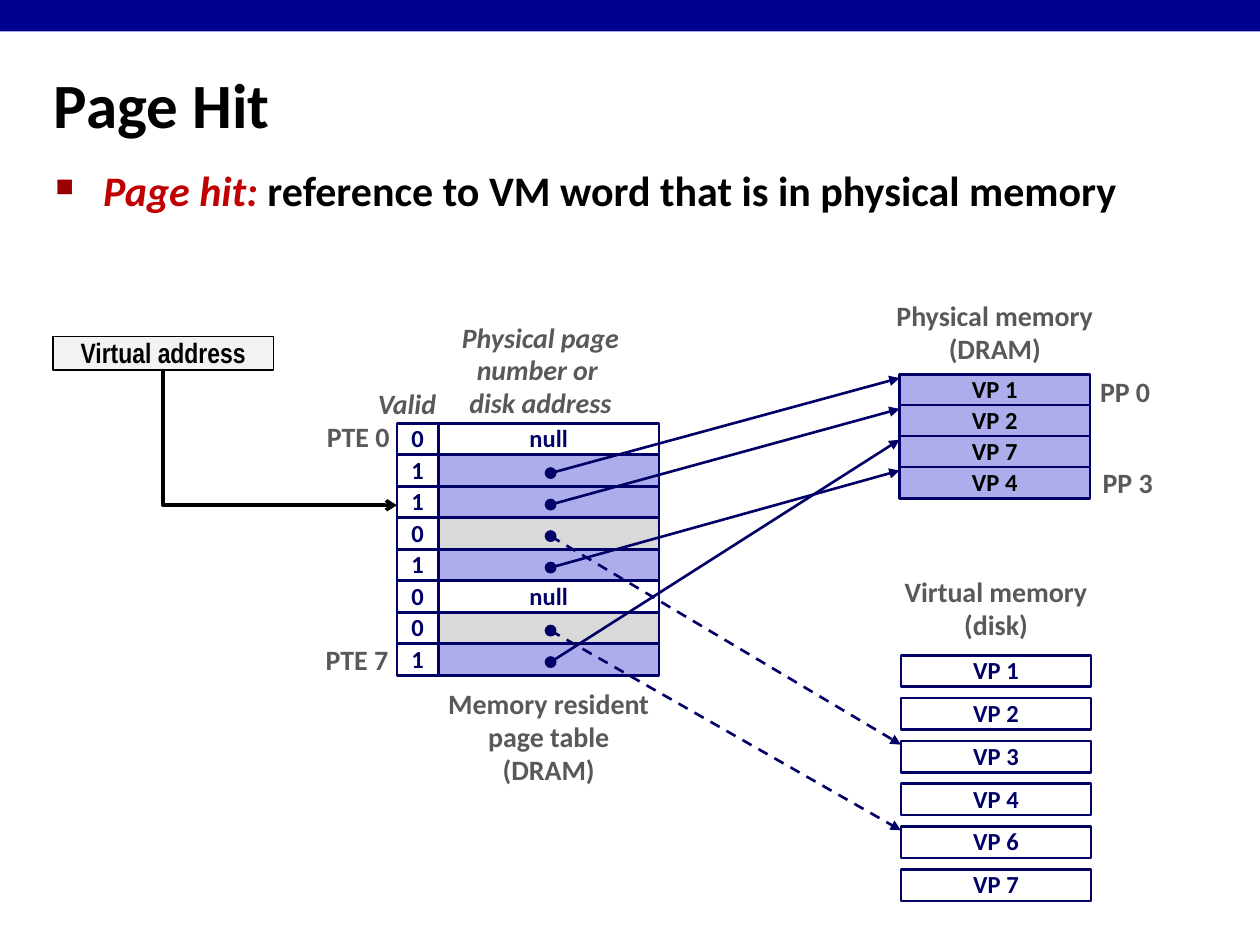
from lxml import etree
from pptx import Presentation
from pptx import util as u
from pptx.dml.color import RGBColor
from pptx.enum import dml, shapes, text
from pptx.oxml import ns

NAVY, LILAC, GREY, LABEL = "000066", "ADADEB", "D9D9D9", "595959"
BLACK, WHITE, RED = "000000", "FFFFFF", "C00000"
LEFT, CENTER, RIGHT = text.PP_ALIGN.LEFT, text.PP_ALIGN.CENTER, text.PP_ALIGN.RIGHT
ROW_H = 0.25


def rgb(value):
    """Turn a hex string into a colour."""
    return RGBColor.from_string(value)


def sub(parent, tag, **attrs):
    """Append a DrawingML element to parent."""
    return etree.SubElement(parent, ns.qn(tag), attrs)


def style_run(r, size, color, italic=False, font="Calibri"):
    """Give a run its bold font, size and colour."""
    r.font.name, r.font.size, r.font.bold = font, u.Pt(size), True
    r.font.italic = italic
    r.font.color.rgb = rgb(color)


def fill_text(tf, content, size, color, align=CENTER, italic=False, font="Calibri"):
    """Write middle-anchored lines of text into a frame."""
    tf.text = content
    tf.vertical_anchor = text.MSO_ANCHOR.MIDDLE
    for p in tf.paragraphs:
        p.alignment, p.line_spacing = align, 0.98
        for r in p.runs:
            style_run(r, size, color, italic, font)


def add_box(s, box, fill=None, line=NAVY, width=1.5, kind=shapes.MSO_SHAPE.RECTANGLE):
    """Add a flat shape with an optional fill and outline."""
    sp = s.shapes.add_shape(kind, *map(u.Inches, box))
    sp.shadow.inherit = False
    sp.text_frame.word_wrap = False
    if fill:
        sp.fill.solid()
        sp.fill.fore_color.rgb = rgb(fill)
    else:
        sp.fill.background()
    if line:
        sp.line.color.rgb = rgb(line)
        sp.line.width = u.Pt(width)
    else:
        sp.line.fill.background()
    return sp


def add_label(s, box, content, align=CENTER, italic=False):
    """Add a grey caption."""
    tf = s.shapes.add_textbox(*map(u.Inches, box)).text_frame
    tf.word_wrap = False
    tf.auto_size = text.MSO_AUTO_SIZE.SHAPE_TO_FIT_TEXT
    fill_text(tf, content, 16, LABEL, align, italic)


def add_arrow(s, start, end, color=NAVY, width=1.5, dashed=False, head="triangle",
              kind=shapes.MSO_CONNECTOR.STRAIGHT):
    """Add a connector with an arrowhead at its end."""
    cx = s.shapes.add_connector(kind, *map(u.Inches, start + end))
    cx.line.color.rgb = rgb(color)
    cx.line.width = u.Pt(width)
    if dashed:
        cx.line.dash_style = dml.MSO_LINE.DASH
    sub(cx.line._get_or_add_ln(), "a:tailEnd", type=head)
    sub(cx._element.spPr, "a:effectLst")
    return cx


def add_corner_arrow(s, start, end):
    """Add an arrow that runs down from start and then right to end."""
    mid_x, mid_y = (start[0] + end[0]) / 2, (start[1] + end[1]) / 2
    half_w, half_h = (end[1] - start[1]) / 2, (end[0] - start[0]) / 2
    cx = add_arrow(s, (mid_x + half_w, mid_y - half_h), (mid_x - half_w, mid_y + half_h),
                   BLACK, 2, head="arrow", kind=shapes.MSO_CONNECTOR.ELBOW)
    sp_pr = cx._element.spPr
    sp_pr.find(ns.qn("a:xfrm")).set("rot", "16200000")
    sp_pr.find(ns.qn("a:prstGeom")).set("prst", "bentConnector2")


def add_heading(s, box):
    """Add the slide title."""
    tf = s.shapes.add_textbox(*map(u.Inches, box)).text_frame
    tf.word_wrap = True
    fill_text(tf, "Page Hit", 36, BLACK, LEFT)
    tf.paragraphs[0].line_spacing = 1.0


def add_definition(s, box):
    """Add the bulleted definition of a page hit."""
    tf = s.shapes.add_textbox(*map(u.Inches, box)).text_frame
    tf.word_wrap = True
    p = tf.paragraphs[0]
    for content, color, italic in (
        ("Page hit: ", RED, True),
        ("reference to VM word that is in physical memory", BLACK, False),
    ):
        r = p.add_run()
        r.text = content
        style_run(r, 24, color, italic)
    p_pr = p._p.get_or_add_pPr()
    p_pr.set("marL", str(u.Inches(0.38)))
    p_pr.set("indent", str(u.Inches(-0.38)))
    sub(sub(p_pr, "a:buClr"), "a:srgbClr", val="990000")
    sub(p_pr, "a:buSzPct", val="60000")
    sub(p_pr, "a:buChar", char="■")


def add_page_table(s, box, entries):
    """Add the page table and return the centre of each pointer dot by row."""
    left, top, width = box
    valid_w, dot = 0.33, 0.08
    dots = {}
    for row, (valid, content) in enumerate(entries):
        y = top + row * ROW_H
        fill = WHITE if content else LILAC if valid == "1" else GREY
        cell = add_box(s, (left + valid_w, y, width - valid_w, ROW_H), fill)
        flag = add_box(s, (left, y, valid_w, ROW_H))
        fill_text(flag.text_frame, valid, 14, NAVY)
        if content:
            fill_text(cell.text_frame, content, 14, NAVY)
        else:
            dots[row] = (left + 1.22, y + ROW_H / 2 + 0.02)
    for x, y in dots.values():
        add_box(s, (x - dot / 2, y - dot / 2, dot, dot), NAVY, width=1,
                kind=shapes.MSO_SHAPE.OVAL)
    bottom = top + len(entries) * ROW_H
    add_label(s, (left - 0.25, top - 0.33, 0.75, 0.37), "Valid", LEFT, True)
    add_label(s, (left + 0.41, top - 0.86, 1.46, 0.89),
              "Physical page\nnumber or \ndisk address", italic=True)
    add_label(s, (left + 0.28, bottom + 0.05, 1.85, 0.89),
              "Memory resident\npage table\n(DRAM)")
    add_label(s, (left - 0.66, top - 0.07, 0.7, 0.37), "PTE 0", RIGHT)
    add_label(s, (left - 0.67, bottom - 0.3, 0.7, 0.37), "PTE 7", RIGHT)
    return dots


def add_memory(s, box, caption, caption_top, pages, pitch, fill, color):
    """Add a captioned stack of pages and return the arrow target of each page."""
    left, top, width = box
    margin = 0.15
    add_label(s, (left - margin, caption_top, width + 2 * margin, 0.63), caption)
    targets = {}
    for i, page in enumerate(pages):
        y = top + i * pitch
        sp = add_box(s, (left, y, width, ROW_H), fill)
        fill_text(sp.text_frame, page, 14, color)
        targets[page] = (left, y + 0.03)
    return targets


def add_virtual_address(s, box, target):
    """Add the virtual address and its arrow into the page table."""
    left, top, width, height = box
    sp = add_box(s, box, "F2F2F2", BLACK, 1)
    fill_text(sp.text_frame, "Virtual address", 16, BLACK, font="Arial Narrow")
    add_corner_arrow(s, (left + width / 2, top + height), target)


def main():
    """Build the page hit slide."""
    prs = Presentation()
    prs.slide_width, prs.slide_height = u.Inches(10), u.Inches(7.5)
    s = prs.slides.add_slide(prs.slide_layouts[6])
    add_box(s, (0, 0, 10, 0.25), "000090", None)
    add_heading(s, (0.33, 0.39, 9.06, 0.86))
    add_definition(s, (0.34, 1.26, 9.09, 0.66))

    entries = [("0", "null"), ("1", ""), ("1", ""), ("0", ""),
               ("1", ""), ("0", "null"), ("0", ""), ("1", "")]
    dots = add_page_table(s, (3.15, 3.36, 2.08), entries)
    dram = add_memory(s, (7.14, 2.97, 1.51), "Physical memory\n(DRAM)", 2.33,
                      ["VP 1", "VP 2", "VP 7", "VP 4"], 0.245, LILAC, BLACK)
    add_label(s, (8.63, 2.93, 0.6, 0.37), "PP 0")
    add_label(s, (8.65, 3.65, 0.6, 0.37), "PP 3")
    disk = add_memory(s, (7.15, 5.2, 1.51), "Virtual memory\n(disk)", 4.52,
                      [f"VP {n}" for n in (1, 2, 3, 4, 6, 7)], 0.34, WHITE, NAVY)

    mapped = {1: "VP 1", 2: "VP 2", 3: "VP 3", 4: "VP 4", 6: "VP 6", 7: "VP 7"}
    for row, page in mapped.items():
        on_disk = entries[row][0] == "0"
        add_arrow(s, dots[row], (disk if on_disk else dram)[page], dashed=on_disk)
    add_virtual_address(s, (0.42, 2.67, 1.75, 0.27), (3.15, 4.01))
    prs.save("out.pptx")


if __name__ == "__main__":
    main()
